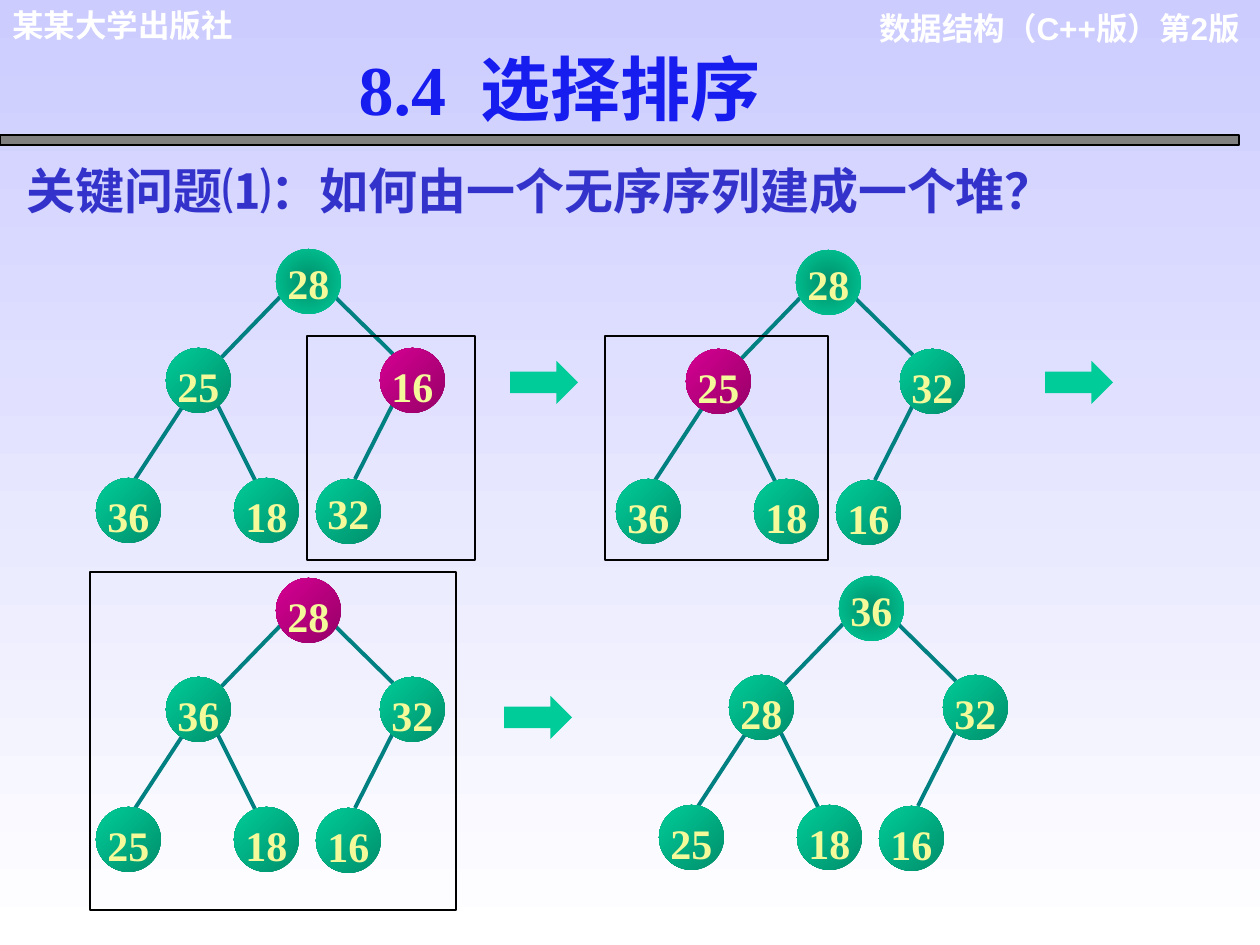
from lxml import etree
from pptx import Presentation
from pptx.dml.color import RGBColor
from pptx.enum.shapes import MSO_CONNECTOR, MSO_SHAPE
from pptx.enum.text import MSO_ANCHOR, MSO_AUTO_SIZE, PP_ALIGN
from pptx.oxml import parse_xml
from pptx.oxml.ns import qn
from pptx.util import Pt

LEFT, MID, RIGHT = PP_ALIGN.LEFT, PP_ALIGN.CENTER, PP_ALIGN.RIGHT
TOP, CENTRE = MSO_ANCHOR.TOP, MSO_ANCHOR.MIDDLE
OVAL, RECT, ARROW = MSO_SHAPE.OVAL, MSO_SHAPE.RECTANGLE, MSO_SHAPE.RIGHT_ARROW
NS = 'xmlns:a="http://schemas.openxmlformats.org/drawingml/2006/main"'
HUES = {
    "sky": "CCCCFF", "white": "FFFFFF", "gray": "808080", "black": "000000",
    "ask": "3333CC", "title": "171CEF", "label": "F4F999", "edge": "008080",
    "green": "00CC99", "dark": "008F6B", "pink": "D60093", "plum": "960067",
}
RGB = {name: RGBColor.from_string(code) for name, code in HUES.items()}
PX = 914400 / 126


def emu(*sizes):
    return [round(size * PX) for size in sizes]


def write(shape, text, size, face, hue, align=LEFT, anchor=TOP):
    frame = shape.text_frame
    frame.text = text
    frame.word_wrap = True
    frame.auto_size = MSO_AUTO_SIZE.NONE
    frame.vertical_anchor = anchor
    para = frame.paragraphs[0]
    para.alignment = align
    font = para.runs[0].font
    font.size, font.name, font.bold = Pt(size), face, True
    font.color.rgb = RGB[hue]


deck = Presentation()
deck.slide_width, deck.slide_height = emu(1260, 945)
slide = deck.slides.add_slide(deck.slide_layouts[5])
shapes = slide.shapes

back = slide.background.fill
back.gradient()
back.gradient_angle = 270
for stop, hue in zip(back.gradient_stops, ("sky", "white")):
    stop.color.rgb = RGB[hue]

title = shapes.title
title.left, title.top, title.width, title.height = emu(346, 39, 503, 97)
write(title, "8.4  选择排序", 40, "Times New Roman", "title")
glow = parse_xml(
    f'<a:effectLst {NS}><a:outerShdw blurRad="38100" dist="38100" dir="2700000">'
    '<a:srgbClr val="808080"/></a:outerShdw></a:effectLst>')
run = title.text_frame.paragraphs[0].runs[0]
run.font._element.find(qn("a:solidFill")).addnext(glow)

for text, box, size, hue, align in (
    ("数据结构（C++版）第2版", (853, 3, 399, 50), 18, "white", RIGHT),
    ("某某大学出版社", (0, 0, 341, 50), 18, "white", LEFT),
    ("关键问题⑴：如何由一个无序序列建成一个堆？", (14, 154, 1211, 72), 28, "ask", LEFT),
):
    write(shapes.add_textbox(*emu(*box)), text, size, "Arial", hue, align)

bar = shapes.add_shape(RECT, *emu(0, 135, 1239, 10))
bar.shadow.inherit = False
bar.fill.solid()
bar.fill.fore_color.rgb = RGB["gray"]
bar.line.color.rgb = RGB["black"]
bar.line.width = Pt(0.75)

SIZE = 65
SPOTS = ((0, 0), (-110, 99), (104, 99), (-180, 229), (-42, 229), (40, 230))
EDGES = (
    (4, 48, -57, 111), (57, 46, 117, 105), (-93, 157, -144, 235),
    (-59, 155, -19, 235), (117, 155, 79, 230),
)
TREES = (
    (276, 249, (28, 25, 16, 36, 18, 32), 2, (0, 5)),
    (796, 250, (28, 25, 32, 36, 18, 16), 1, (0,)),
    (276, 578, (28, 36, 32, 25, 18, 16), 0, ()),
    (839, 576, (36, 28, 32, 25, 18, 16), None, (0,)),
)
for x, y, keys, hot, high in TREES:
    for x1, y1, x2, y2 in EDGES:
        edge = shapes.add_connector(
            MSO_CONNECTOR.STRAIGHT, *emu(x + x1, y + y1, x + x2, y + y2))
        edge.line.color.rgb = RGB["edge"]
        edge.line.width = Pt(2.25)
        etree.SubElement(edge._element.spPr, qn("a:effectLst"))
    for i, (key, (dx, dy)) in enumerate(zip(keys, SPOTS)):
        node = shapes.add_shape(OVAL, *emu(x + dx, y + dy, SIZE, SIZE))
        node.shadow.inherit = False
        node.line.fill.background()
        node.fill.gradient()
        node.fill.gradient_angle = 135
        pair = ("plum", "pink") if i == hot else ("dark", "green")
        for stop, hue in zip(node.fill.gradient_stops, pair):
            stop.color.rgb = RGB[hue]
        if i == 0 and i != hot:
            lin = node._element.spPr.find(qn("a:gradFill")).find(qn("a:lin"))
            lin.getparent().replace(lin, parse_xml(
                f'<a:path {NS} path="circle"><a:fillToRect l="50000" t="50000" '
                'r="50000" b="50000"/></a:path>'))
        write(node, str(key), 24, "Times New Roman", "label", MID, CENTRE)
        frame = node.text_frame
        frame.margin_left = frame.margin_right = frame.margin_bottom = 0
        frame.margin_top = emu(2 if i in high else 10)[0]

for x, y in ((510, 361), (1045, 361), (504, 696)):
    arrow = shapes.add_shape(ARROW, *emu(x, y, 68, 43))
    arrow.shadow.inherit = False
    arrow.fill.solid()
    arrow.fill.fore_color.rgb = RGB["green"]
    arrow.line.fill.background()

for box in ((307, 336, 168, 224), (605, 336, 223, 224), (90, 572, 366, 338)):
    frame = shapes.add_shape(RECT, *emu(*box))
    frame.shadow.inherit = False
    frame.fill.background()
    frame.line.color.rgb = RGB["black"]
    frame.line.width = Pt(1.5)

deck.save("out.pptx")
